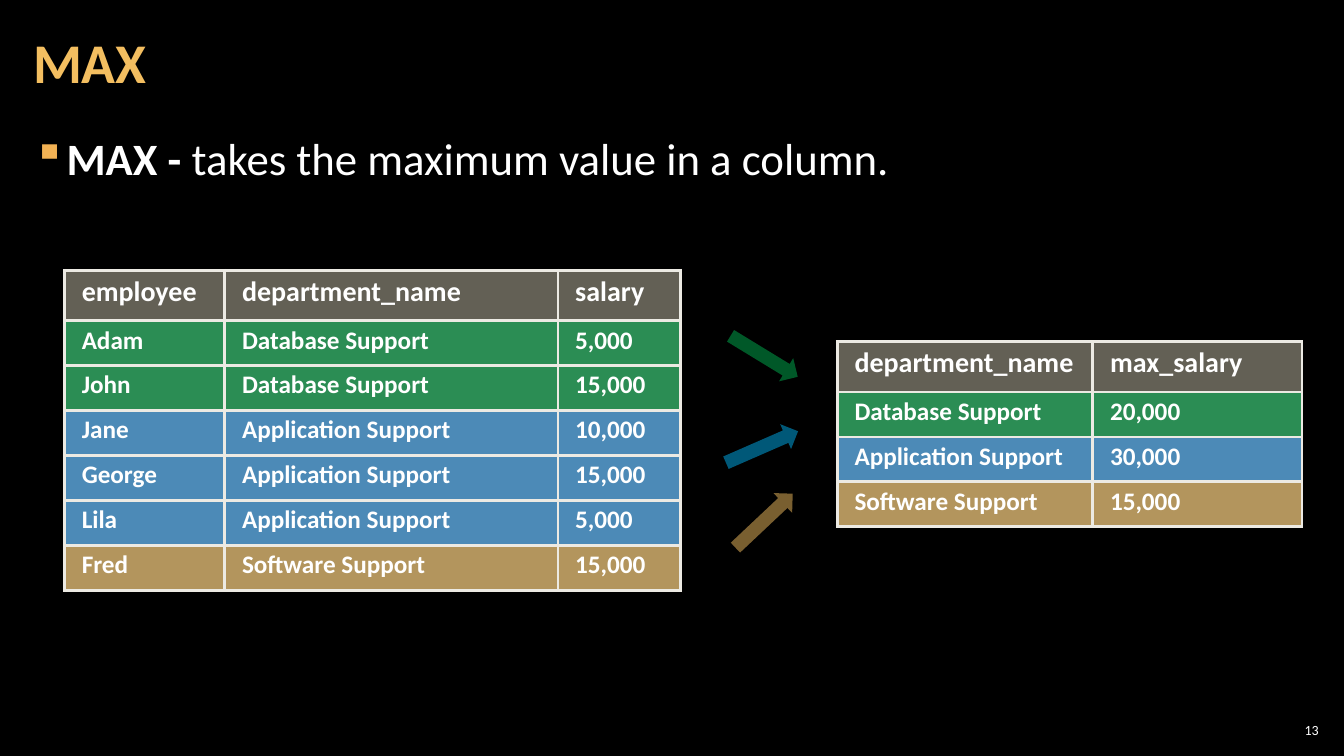
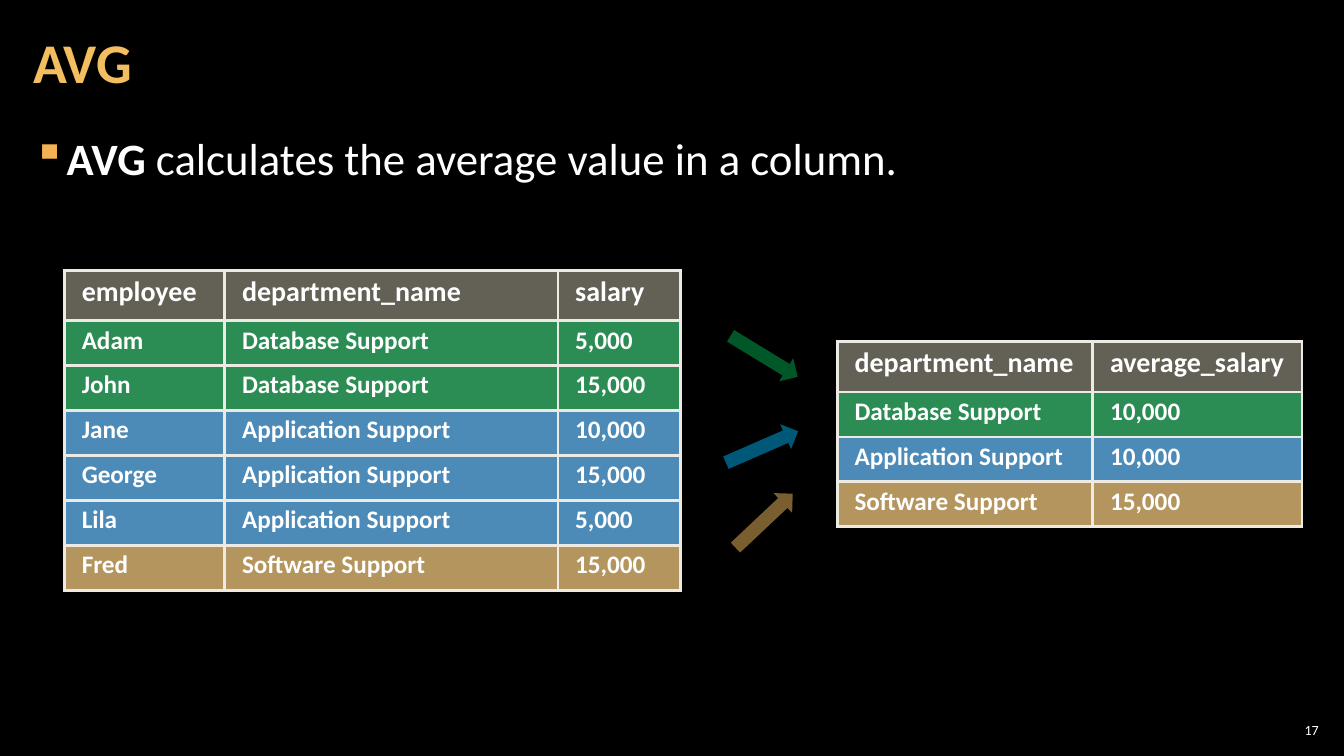
from lxml import etree
from pptx import Presentation
from pptx.dml.color import RGBColor
from pptx.enum.shapes import MSO_SHAPE
from pptx.enum.text import MSO_ANCHOR, PP_ALIGN
from pptx.oxml.ns import qn
from pptx.util import Pt

RECTANGLE, RIGHT_ARROW = MSO_SHAPE.RECTANGLE, MSO_SHAPE.RIGHT_ARROW
TOP, MIDDLE = MSO_ANCHOR.TOP, MSO_ANCHOR.MIDDLE
LEFT, RIGHT = PP_ALIGN.LEFT, PP_ALIGN.RIGHT

FONT = "Calibri"
BLACK, WHITE, GOLD, BULLET_GOLD = "000000", "FFFFFF", "F3BE60", "F2B254"
GREEN, BLUE, ARROW_BLUE = "00B050", "3BABFF", "00B0F0"
HEADER_FILL, ROW_FILL, BORDER = "C6C0AA", "D9D5C7", "ECEAE3"
HEADER_HEIGHT, ROW_HEIGHT = 36, 32.1

DATABASE, APPLICATION, SOFTWARE = "Database Support", "Application Support", "Software Support"
DEPARTMENT_COLORS = {DATABASE: GREEN, APPLICATION: BLUE, SOFTWARE: GOLD}

EMPLOYEES = [
    ("employee", "department_name", "salary"),
    ("Adam", DATABASE, "5,000"),
    ("John", DATABASE, "15,000"),
    ("Jane", APPLICATION, "10,000"),
    ("George", APPLICATION, "15,000"),
    ("Lila", APPLICATION, "5,000"),
    ("Fred", SOFTWARE, "15,000"),
]

ARROWS = [
    (517.7, 244.8, 31.4, GREEN),
    (516.2, 309.6, -23.6, ARROW_BLUE),
    (517.7, 362.2, -43.3, GOLD),
]

FUNCTIONS = [
    ("MAX", "MAX -", " takes the maximum value in a column.", "max_salary",
     ("20,000", "30,000", "15,000"), "13"),
    ("AVG", "AVG", " calculates the average value in a column.", "average_salary",
     ("10,000", "10,000", "15,000"), "17"),
]


def rgb(color):
    """Turn a hex string into a colour."""
    return RGBColor.from_string(color)


def paint(fill, properties, color, opacity):
    """Fill a shape or cell with a translucent colour."""
    fill.solid()
    fill.fore_color.rgb = rgb(color)
    shade = properties.find(f"{qn('a:solidFill')}/{qn('a:srgbClr')}")
    etree.SubElement(shade, qn("a:alpha"), val=str(opacity * 1000))


def style_run(run, size, color=WHITE, bold=False):
    """Set the font of a run."""
    run.font.name = FONT
    run.font.size = Pt(size)
    run.font.bold = bold
    run.font.color.rgb = rgb(color)


def set_margins(holder, side, edge):
    """Set the inner margins of a text frame or cell."""
    holder.margin_left = holder.margin_right = Pt(side)
    holder.margin_top = holder.margin_bottom = Pt(edge)


def add_text(slide, box, text, size, color=WHITE, bold=False, align=LEFT, anchor=MIDDLE, side=8.6):
    """Add a one-line text box and return its paragraph."""
    frame = slide.shapes.add_textbox(*map(Pt, box)).text_frame
    frame.word_wrap = True
    frame.vertical_anchor = anchor
    set_margins(frame, side, 3)
    frame.text = text
    paragraph = frame.paragraphs[0]
    paragraph.alignment = align
    style_run(paragraph.runs[0], size, color, bold)
    return paragraph


def add_definition(slide, term, meaning):
    """Add the bulleted sentence that explains the function."""
    paragraph = add_text(slide, (15, 90, 930, 54), term, 32, bold=True, anchor=TOP)
    explanation = paragraph.add_run()
    explanation.text = meaning
    style_run(explanation, 32)
    paragraph.space_before = paragraph.space_after = Pt(6)
    properties = paragraph._p.get_or_add_pPr()
    properties.set("marL", str(Pt(24)))
    properties.set("indent", str(Pt(-24)))
    bullet_color = etree.SubElement(properties, qn("a:buClr"))
    etree.SubElement(bullet_color, qn("a:srgbClr"), val=BULLET_GOLD)
    etree.SubElement(properties, qn("a:buChar"), char="▪")


def add_shape(slide, kind, box, color, opacity, rotation=0):
    """Add a translucent shape without outline."""
    shape = slide.shapes.add_shape(kind, *map(Pt, box))
    shape.shadow.inherit = False
    shape.line.fill.background()
    shape.rotation = rotation
    paint(shape.fill, shape._element.spPr, color, opacity)


def add_borders(cell):
    """Draw all four borders of a cell."""
    properties = cell._tc.get_or_add_tcPr()
    for side in ("a:lnL", "a:lnR", "a:lnT", "a:lnB"):
        line = etree.SubElement(properties, qn(side), w=str(Pt(2.25)))
        solid = etree.SubElement(line, qn("a:solidFill"))
        etree.SubElement(solid, qn("a:srgbClr"), val=BORDER)


def fill_cell(cell, text, is_header):
    """Write and format one table cell."""
    cell.text = text
    set_margins(cell, 12.4, 3.6)
    cell.vertical_anchor = TOP
    paragraph = cell.text_frame.paragraphs[0]
    paragraph.line_spacing = 0.95
    style_run(paragraph.runs[0], 20 if is_header else 18, bold=True)
    add_borders(cell)
    color, opacity = (HEADER_FILL, 50) if is_header else (ROW_FILL, 20)
    paint(cell.fill, cell._tc.tcPr, color, opacity)


def add_department_table(slide, left, top, widths, rows):
    """Add a table over one colour band per department."""
    departments = [value for row in rows for value in row if value in DEPARTMENT_COLORS]
    band_top = top + HEADER_HEIGHT
    for department, color in DEPARTMENT_COLORS.items():
        height = departments.count(department) * ROW_HEIGHT
        add_shape(slide, RECTANGLE, (left, band_top, sum(widths), height), color, 70)
        band_top += height

    table = slide.shapes.add_table(
        len(rows), len(widths), Pt(left), Pt(top), Pt(sum(widths)), Pt(band_top - top)).table
    for column, width in zip(table.columns, widths):
        column.width = Pt(width)
    for index, values in enumerate(rows):
        table.rows[index].height = Pt(ROW_HEIGHT if index else HEADER_HEIGHT)
        for cell, value in zip(table.rows[index].cells, values):
            fill_cell(cell, value, index == 0)


def add_function_slide(deck, title, term, meaning, result_name, results, number):
    """Add the slide that shows one aggregate function."""
    slide = deck.slides.add_slide(deck.slide_layouts[6])
    heading = add_text(slide, (15, 3, 754, 87), title, 40, GOLD, bold=True)
    heading.line_spacing = 0.9
    add_definition(slide, term, meaning)
    add_department_table(slide, 46, 193, (114.5, 238, 87.5), EMPLOYEES)
    for left, top, rotation, color in ARROWS:
        add_shape(slide, RIGHT_ARROW, (left, top, 56.2, 19.4), color, 50, rotation)
    summary = [("department_name", result_name), *zip(DEPARTMENT_COLORS, results)]
    add_department_table(slide, 598, 244, (182.5, 149.5), summary)
    add_text(slide, (911, 514, 34, 15), number, 10, align=RIGHT, side=3)


def main():
    """Build and save the deck."""
    deck = Presentation()
    deck.slide_width, deck.slide_height = Pt(960), Pt(540)
    backdrop = deck.slide_master.background.fill
    backdrop.solid()
    backdrop.fore_color.rgb = rgb(BLACK)
    for function in FUNCTIONS:
        add_function_slide(deck, *function)
    deck.save("out.pptx")


if __name__ == "__main__":
    main()
